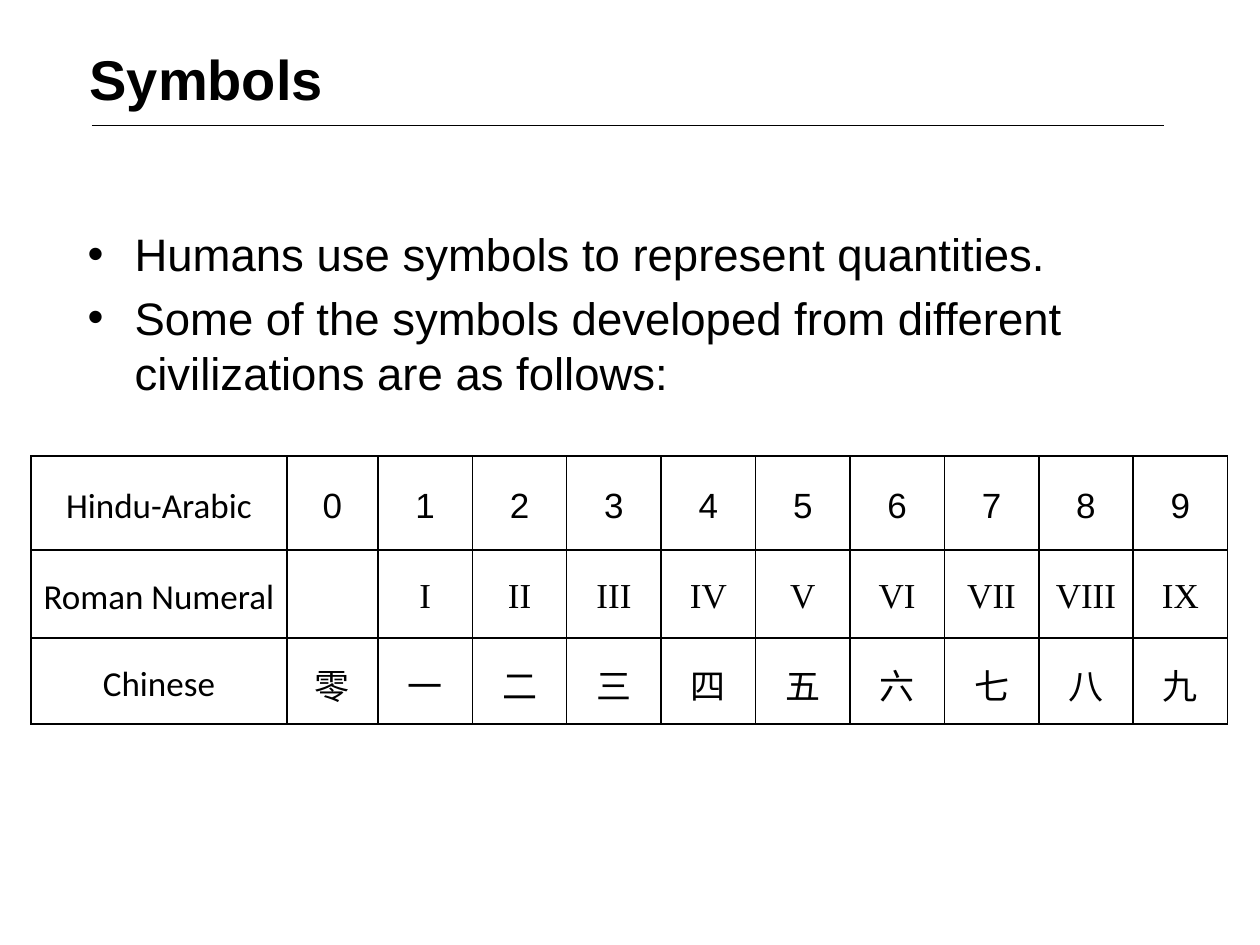
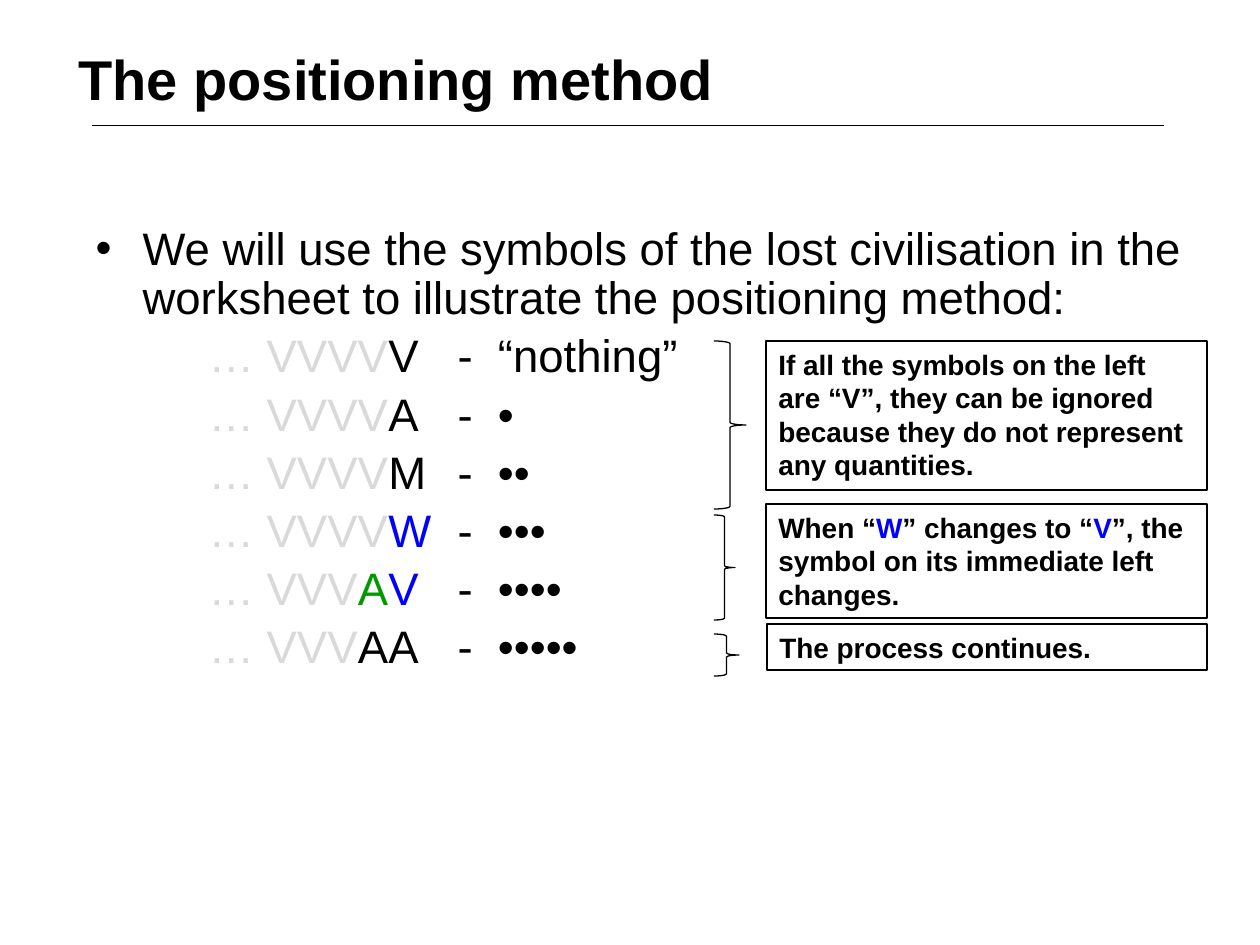
from lxml import etree
from pptx import Presentation
from pptx import util as u
from pptx.dml.color import RGBColor
from pptx.enum import shapes, text
from pptx.oxml import ns

EMU_PER_PX = u.Inches(1) / 126
BLACK = RGBColor(0x00, 0x00, 0x00)
WHITE = RGBColor(0xFF, 0xFF, 0xFF)
GREY = RGBColor(0xD9, 0xD9, 0xD9)
BLUE = RGBColor(0x00, 0x00, 0xFF)
GREEN = RGBColor(0x00, 0x99, 0x00)
FONT = "Arial"

NUMERALS = [
    # label, symbols for 0 to 9, font, row height
    ("Hindu-Arabic", "0 1 2 3 4 5 6 7 8 9".split(), FONT, 94),
    ("Roman Numeral", ["", *"I II III IV V VI VII VIII IX".split()], "Times New Roman", 88),
    ("Chinese", list("零一二三四五六七八九"), "Calibri", 86),
]
COUNTS = [
    # coloured symbols, quantity
    ([("… VVVV", GREY), ("V", BLACK)], "“nothing”"),
    ([("… VVVV", GREY), ("A", BLACK)], "•"),
    ([("… VVVV", GREY), ("M", BLACK)], "••"),
    ([("… VVVV", GREY), ("W", BLUE)], "•••"),
    ([("… VVV", GREY), ("A", GREEN), ("V", BLUE)], "••••"),
    ([("… VVV", GREY), ("AA", BLACK)], "•••••"),
]
REMARKS = [
    # brace box, remark box, coloured text
    ((714, 341, 32, 168), (766, 341, 441, 149),
     [("If all the symbols on the left are “V”, they can be ignored "
       "because they do not represent any quantities.", BLACK)]),
    ((714, 515, 21, 105), (766, 504, 441, 114),
     [("When “", BLACK), ("W", BLUE), ("” changes to “", BLACK), ("V", BLUE),
      ("”, the symbol on its immediate left changes.", BLACK)]),
    ((714, 634, 25, 42), (767, 624, 440, 46),
     [("The process continues.", BLACK)]),
]


def px(length):
    return u.Emu(round(length * EMU_PER_PX))


def place(shape, left, top, width, height):
    shape.left, shape.top, shape.width, shape.height = map(px, (left, top, width, height))


def add_run(paragraph, words, size, color=BLACK, font=FONT, bold=False):
    run = paragraph.add_run()
    run.text = words
    run.font.name = font
    run.font.size = u.Pt(size)
    run.font.bold = bold
    run.font.color.rgb = color
    return run


def add_rule(slide):
    rule = slide.shapes.add_connector(
        shapes.MSO_CONNECTOR.STRAIGHT, px(92), px(125), px(1164), px(125))
    rule.line.color.rgb = BLACK
    rule.line.width = u.Pt(0.25)
    etree.SubElement(rule._element.spPr, ns.qn("a:effectLst"))


def add_titled_slide(presentation, title, title_left, body_left):
    """Add a ruled slide; return it with its empty body text frame."""
    slide = presentation.slides.add_slide(presentation.slide_layouts[1])
    add_rule(slide)
    heading, body = slide.placeholders
    place(heading, title_left, 38, 1134, 157)
    place(body, body_left, 220, 1134, 624)
    for shape in (heading, body):
        shape.text_frame.word_wrap = True
        shape.text_frame.auto_size = text.MSO_AUTO_SIZE.NONE
        shape.text_frame.vertical_anchor = text.MSO_ANCHOR.TOP
    paragraph = heading.text_frame.paragraphs[0]
    paragraph.alignment = text.PP_ALIGN.LEFT
    add_run(paragraph, title, 32, bold=True)
    return slide, body.text_frame


def set_indent(paragraph, first_line):
    properties = paragraph._p.get_or_add_pPr()
    properties.set("marL", str(px(47)))
    properties.set("indent", str(px(first_line)))
    return properties


def add_bullet(paragraph, words):
    set_indent(paragraph, -47)
    add_run(paragraph, words, 26)


def add_count(paragraph, symbols, quantity):
    """Fill one line of symbols, dash and quantity; the dash sits on a default tab stop."""
    properties = set_indent(paragraph, 66)
    etree.SubElement(properties, ns.qn("a:buNone"))
    for words, color in symbols:
        add_run(paragraph, words, 26, color)
    add_run(paragraph, "\t-", 26)
    gap = add_run(paragraph, " ", 26)
    gap.font._element.set("spc", "720")
    add_run(paragraph, quantity, 26)


def set_borders(cell):
    properties = cell._tc.get_or_add_tcPr()
    for index, side in enumerate(("lnL", "lnR", "lnT", "lnB")):
        border = etree.Element(ns.qn(f"a:{side}"), w=str(u.Pt(1)))
        fill = etree.SubElement(border, ns.qn("a:solidFill"))
        etree.SubElement(fill, ns.qn("a:srgbClr"), val=str(BLACK))
        properties.insert(index, border)


def fill_cell(cell, words, font):
    cell.fill.solid()
    cell.fill.fore_color.rgb = WHITE
    cell.vertical_anchor = text.MSO_ANCHOR.MIDDLE
    cell.margin_left = cell.margin_right = px(9)
    cell.margin_top = cell.margin_bottom = 0
    set_borders(cell)
    paragraph = cell.text_frame.paragraphs[0]
    paragraph.alignment = text.PP_ALIGN.CENTER
    paragraph.line_spacing = 1.15
    if words:
        add_run(paragraph, words, 20, font=font)


def add_numeral_table(slide):
    width, label_width, zero_width = px(1197), px(256), px(91)
    frame = slide.shapes.add_table(
        len(NUMERALS), 11, px(31), px(456), width, px(268))
    table = frame.table
    digit_width = (width - label_width - zero_width) // 9
    for column, column_width in zip(
            table.columns, [label_width, zero_width] + [digit_width] * 9):
        column.width = column_width
    for row, (label, symbols, font, height) in zip(table.rows, NUMERALS):
        row.height = px(height)
        fill_cell(row.cells[0], label, "Calibri")
        for cell, symbol in zip(list(row.cells)[1:], symbols):
            fill_cell(cell, symbol, font)


def add_outline(slide, kind, box):
    shape = slide.shapes.add_shape(kind, *map(px, box))
    shape.shadow.inherit = False
    shape.fill.background()
    shape.line.color.rgb = BLACK
    shape.line.width = u.Pt(0.75)
    return shape


def add_remark(slide, brace_box, remark_box, runs):
    add_outline(slide, shapes.MSO_SHAPE.RIGHT_BRACE, brace_box)
    remark = add_outline(slide, shapes.MSO_SHAPE.RECTANGLE, remark_box)
    frame = remark.text_frame
    frame.word_wrap = True
    frame.vertical_anchor = text.MSO_ANCHOR.TOP
    paragraph = frame.paragraphs[0]
    paragraph.alignment = text.PP_ALIGN.LEFT
    for words, color in runs:
        add_run(paragraph, words, 16, color, bold=True)


def build_symbols(presentation):
    slide, body = add_titled_slide(presentation, "Symbols", 77, 75)
    add_bullet(body.paragraphs[0], "Humans use symbols to represent quantities.")
    add_bullet(body.add_paragraph(),
               "Some of the symbols developed from different civilizations are as follows:")
    add_numeral_table(slide)


def build_positioning(presentation):
    slide, body = add_titled_slide(presentation, "The positioning method", 66, 83)
    add_bullet(body.paragraphs[0],
               "We will use the symbols of the lost civilisation in the worksheet "
               "to illustrate the positioning method:")
    for symbols, quantity in COUNTS:
        add_count(body.add_paragraph(), symbols, quantity)
    for paragraph in body.paragraphs:
        paragraph.line_spacing = 0.9
    for remark in REMARKS:
        add_remark(slide, *remark)


def main():
    presentation = Presentation()
    presentation.slide_width, presentation.slide_height = px(1260), px(945)
    build_symbols(presentation)
    build_positioning(presentation)
    presentation.save("out.pptx")


if __name__ == "__main__":
    main()
